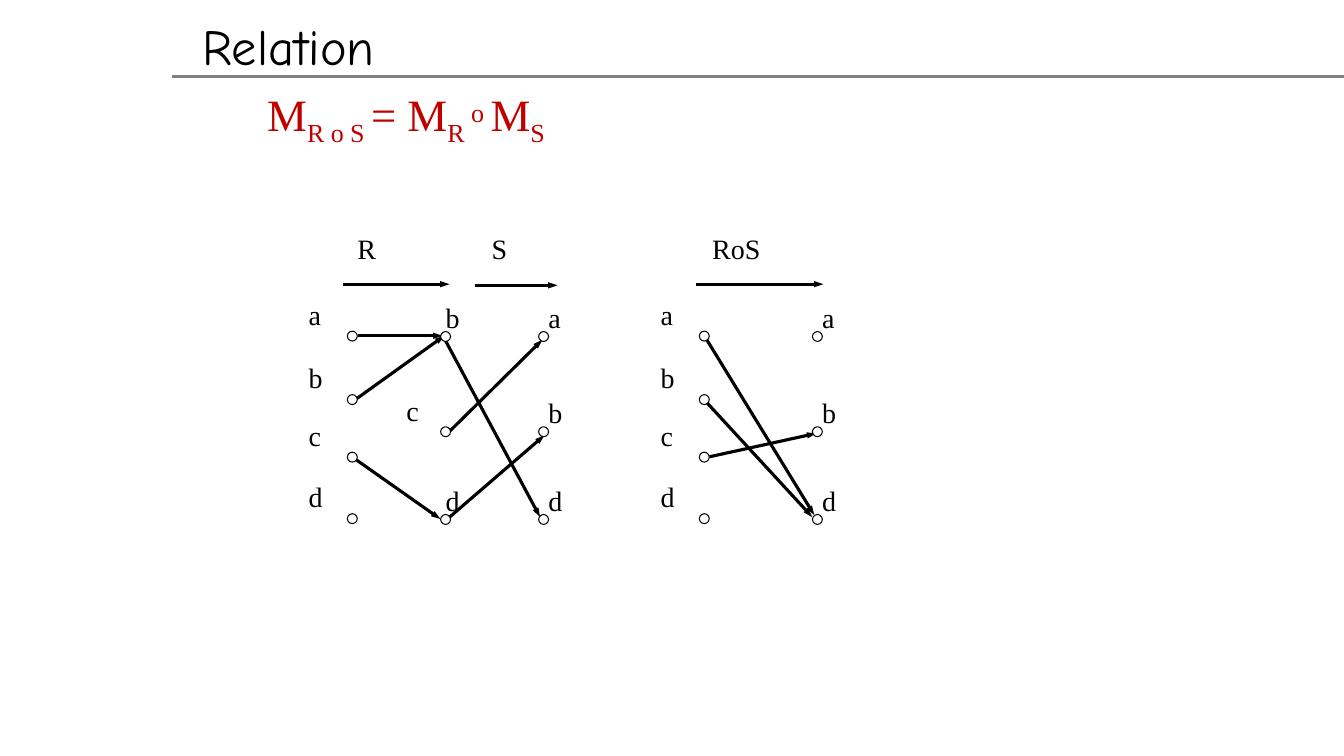
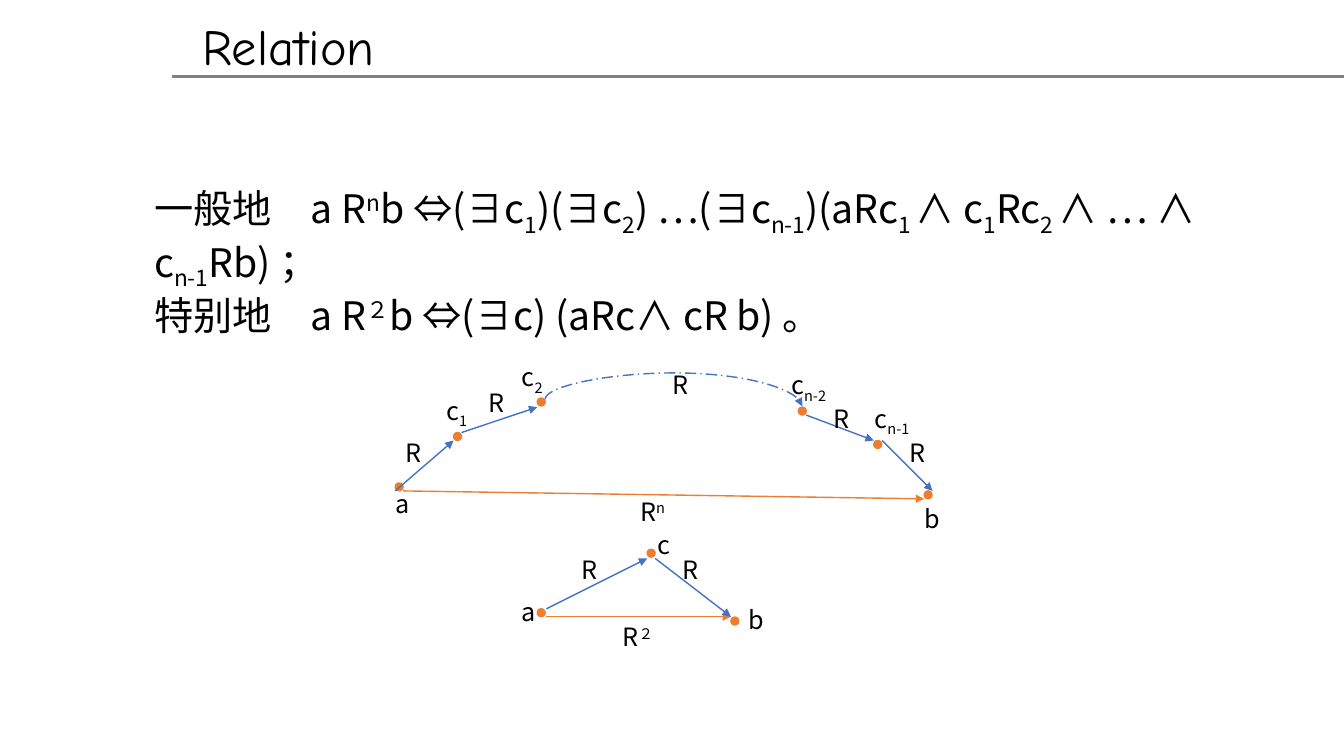
from lxml import etree
from pptx import Presentation
from pptx.dml.color import RGBColor
from pptx.enum.dml import MSO_LINE
from pptx.enum.shapes import MSO_CONNECTOR as LINK, MSO_SHAPE
from pptx.enum.text import MSO_ANCHOR, MSO_AUTO_SIZE, PP_ALIGN
from pptx.oxml.ns import qn
from pptx.util import Cm, Pt

COLORS = {
    "black": "000000", "white": "FFFFFF", "grey": "808080",
    "red": "C00000", "blue": "4472C4", "orange": "ED7D31",
}
SERIF = "Times New Roman"
SANS = "Noto Sans CJK SC"


def write(para, runs, font, size, color="black"):
    for text, baseline in runs:
        span = para.add_run()
        span.text = text
        span.font.name = font
        span.font.size = Pt(size)
        span.font.color.rgb = RGBColor.from_string(COLORS[color])
        properties = span.font._element
        etree.SubElement(properties, qn("a:ea")).set("typeface", font)
        if baseline:
            properties.set("baseline", str(baseline * 1000))


def draw_line(page, ends, color, width, head=None, kind=LINK.STRAIGHT):
    line = page.shapes.add_connector(kind, *map(Cm, ends))
    line.line.color.rgb = RGBColor.from_string(COLORS[color])
    line.line.width = Pt(width)
    if kind == LINK.CURVE:
        line.line.dash_style = MSO_LINE.LONG_DASH_DOT
    outline = line.element.spPr.find(qn("a:ln"))
    if head:
        tail = etree.SubElement(outline, qn("a:tailEnd"))
        tail.set("type", "triangle")
        tail.set("w", head)
        tail.set("len", "med")
    etree.SubElement(line.element.spPr, qn("a:effectLst"))
    return line


deck = Presentation()
deck.slide_width, deck.slide_height = Cm(33.87), Cm(19.05)
layout = deck.slide_layouts[1]

formula = [("M", 0), ("R o S ", -25), ("= M", 0), ("R ", -25), ("o ", 20), ("M", 0), ("S", -25)]
general = [
    ("一般地　a R", 0), ("n", 30), ("b ⇔(∃c", 0), ("1", -25), (")(∃c", 0), ("2", -25),
    (") …(∃c", 0), ("n-1", -25), (")(aRc", 0), ("1 ", -25), ("∧ c", 0), ("1", -25),
    ("Rc", 0), ("2 ", -25), ("∧ … ∧ c", 0), ("n-1", -25), ("Rb) ；", 0),
]
special = [("特别地　a R", 0), ("２", 30), ("b ⇔(∃c) (aRc∧ cR b) 。", 0)]

contents = [
    ((6.48, 2.06, 8.05, 1.63), [formula], SERIF, 32, "red"),
    ((3.63, 4.52, 27.38, 4.4), [general, special], SANS, 28, "black"),
]
for place, paragraphs, font, size, color in contents:
    page = deck.slides.add_slide(layout)
    title, body = page.shapes.title, page.placeholders[1]
    for box, area in ((title, (4.85, 0.25, 16, 1.8)), (body, place)):
        box.left, box.top, box.width, box.height = map(Cm, area)
        box.text_frame.auto_size = MSO_AUTO_SIZE.NONE
        box.text_frame.vertical_anchor = MSO_ANCHOR.TOP
    title.text_frame.paragraphs[0].alignment = PP_ALIGN.LEFT
    write(title.text_frame.paragraphs[0], [("Relation", 0)], "Comic Neue", 36)
    for index, runs in enumerate(paragraphs):
        para = body.text_frame.add_paragraph() if index else body.text_frame.paragraphs[0]
        para.space_before = Pt(0)
        settings = para._p.get_or_add_pPr()
        settings.set("marL", "0")
        settings.set("indent", "0")
        etree.SubElement(settings, qn("a:buNone"))
        write(para, runs, font, size, color)

matrix_page, power_page = deck.slides

rule = draw_line(matrix_page, (4.34, 1.93, 33.87, 1.93), "grey", 2)
layout.shapes.element.append(rule.element)

dots = []
labels = [
    (matrix_page, x, 5.72, [(text, 0)], SERIF, 20)
    for x, text in ((8.76, "R"), (12.14, "S"), (17.7, "RoS"))
]

domain = {"a": 8.47, "b": 10.07, "c": 11.52, "d": 13.07}
target = {"a": 8.48, "b": 10.88, "d": 13.09}
columns = [
    (8.88, domain, -1.35, -1.11),
    (11.23, {"b": 8.48, "d": 13.09}, -0.25, -1.02),
    (11.23, {"c": 10.88}, -1.24, -1.08),
    (13.7, target, -0.13, -1.04),
    (17.75, domain, -1.35, -1.11),
    (20.6, target, -0.13, -1.04),
]
for x, rows, shift_x, shift_y in columns:
    for letter, y in rows.items():
        dots.append((matrix_page, x, y, 0.25, "white", "black", 0.75))
        labels.append((matrix_page, x + shift_x, y + shift_y, [(letter, 0)], SERIF, 20))

relation_arrows = [
    (8.64, 7.16, 11.33, 7.16), (11.96, 7.19, 14.05, 7.19), (17.53, 7.16, 20.75, 7.16),
    (9.02, 8.46, 11.15, 8.46), (8.94, 10.08, 11.2, 8.46), (8.94, 11.56, 11.1, 13.08),
    (11.23, 8.59, 13.61, 13.03), (11.33, 10.87, 13.67, 8.56), (11.33, 13.03, 13.72, 10.97),
    (17.78, 8.51, 20.52, 12.98), (17.78, 10.11, 20.47, 13.03), (17.88, 11.51, 20.57, 10.92),
]
for ends in relation_arrows:
    draw_line(matrix_page, ends, "black", 2.25, "sm")

path_points = [
    (10.06, 12.27), (11.53, 11), (13.64, 10.13), (20.22, 10.36), (22.12, 11.2),
    (23.39, 12.47), (13.64, 15.44), (16.41, 13.94), (18.52, 15.65),
]
dots += [(power_page, x, y, 0.2, "orange", "orange", 1) for x, y in path_points]

path_labels = [
    (9.73, 12.17, "a", "", 0), (11, 9.83, "c", "1", -25), (12.9, 8.99, "c", "2", -25),
    (19.69, 9.19, "c", "n-2", -25), (21.79, 10.03, "c", "n-1", -25), (23.06, 12.57, "b", "", 0),
    (15.88, 12.37, "R", "n", 30), (12.9, 14.91, "a", "", 0), (16.31, 13.21, "c", "", 0),
    (18.62, 15.11, "b", "", 0), (15.44, 15.54, "R", "２", 30),
]
step_labels = [
    (9.96, 10.9), (12.07, 9.63), (16.71, 9.19), (20.75, 10.03), (22.66, 10.9),
    (14.4, 13.84), (16.94, 13.84),
]
path_labels += [(x, y, "R", "", 0) for x, y in step_labels]
for x, y, text, script, baseline in path_labels:
    runs = [(text, 0), (script, baseline)] if script else [(text, 0)]
    labels.append((power_page, x, y, runs, SANS, 18))

for page, x, y, size, fill, edge, width in dots:
    dot = page.shapes.add_shape(
        MSO_SHAPE.OVAL, Cm(x - size / 2), Cm(y - size / 2), Cm(size), Cm(size))
    dot.shadow.inherit = False
    dot.fill.solid()
    dot.fill.fore_color.rgb = RGBColor.from_string(COLORS[fill])
    dot.line.color.rgb = RGBColor.from_string(COLORS[edge])
    dot.line.width = Pt(width)

path_arrows = {
    "orange": [(10.16, 12.37, 23.29, 12.57), (13.77, 15.54, 18.42, 15.54)],
    "blue": [
        (9.96, 12.37, 11.43, 11.1), (11.63, 10.9, 13.54, 10.26), (20.32, 10.46, 22.02, 11.1),
        (22.23, 11.1, 23.5, 12.37), (13.77, 15.34, 16.31, 14.07), (16.51, 14.07, 18.42, 15.54),
    ],
}
for color, arrows in path_arrows.items():
    for ends in arrows:
        draw_line(power_page, ends, color, 1, "med")

arc = draw_line(power_page, (16.89, 13.39, 17.07, 6.91), "blue", 1, "med", LINK.CURVE)
arc.element.spPr.find(qn("a:xfrm")).set("rot", "5400000")
guides = arc.element.spPr.find(qn("a:prstGeom")).find(qn("a:avLst"))
guide = etree.SubElement(guides, qn("a:gd"))
guide.set("name", "adj1")
guide.set("fmla", "val -368300")

for page, x, y, runs, font, size in labels:
    box = page.shapes.add_textbox(Cm(x), Cm(y), Cm(2), Cm(1.1))
    box.text_frame.word_wrap = True
    write(box.text_frame.paragraphs[0], runs, font, size)

deck.save("out.pptx")
